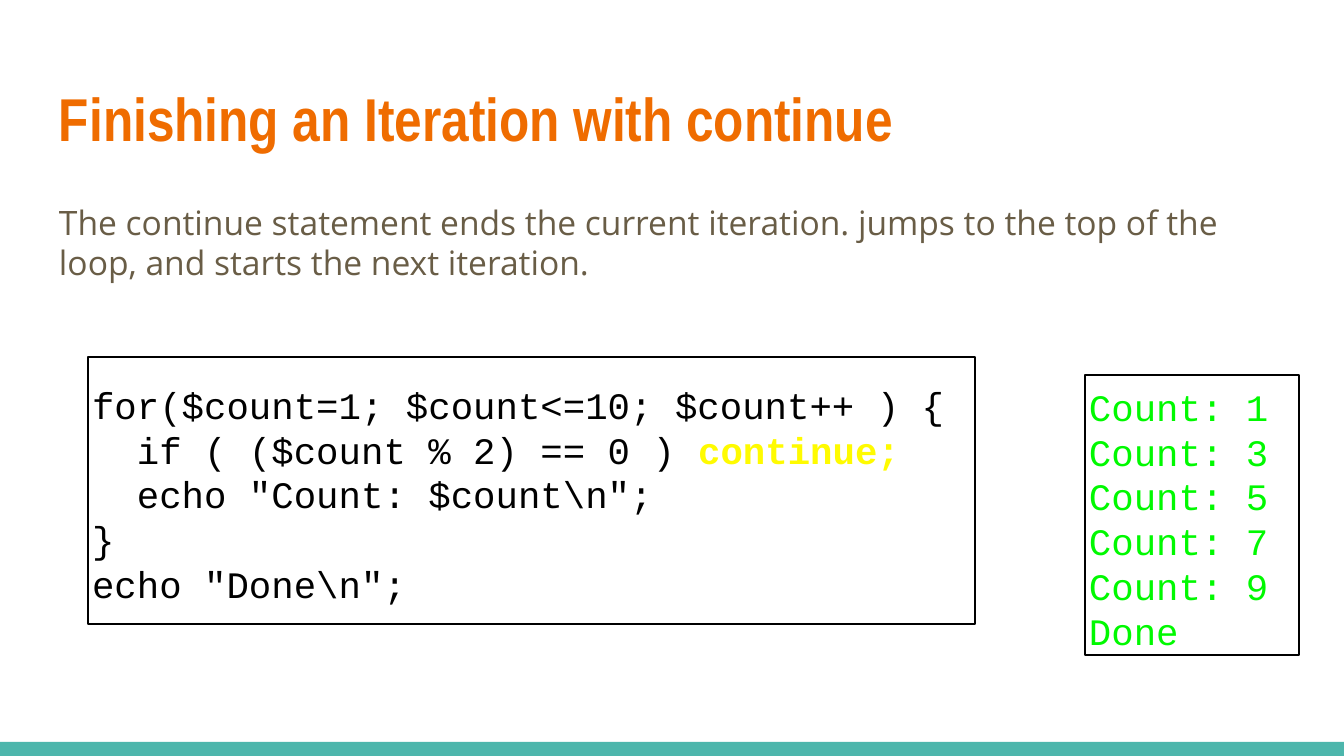
from dataclasses import dataclass

from pptx import Presentation
from pptx.dml.color import RGBColor
from pptx.enum.shapes import MSO_SHAPE
from pptx.enum.text import MSO_ANCHOR, PP_ALIGN
from pptx.util import Emu, Pt

WIDTH, HEIGHT = 1344, 756
SCALE = 9144000 / WIDTH


@dataclass(frozen=True)
class Theme:
    title: str = "EF6C00"
    body: str = "695D46"
    code: str = "000000"
    key: str = "FFFB00"
    output: str = "00F900"
    bar: str = "4DB6AC"
    title_font: str = "Arial Narrow"
    body_font: str = "Open Sans"
    code_font: str = "Courier New"
    title_size: float = 32.4
    body_size: float = 18
    code_size: float = 20
    code_pitch: float = 24


THEME = Theme()

CODE = [
    "for($count=1; $count<=10; $count++ ) {",
    "  if ( ($count % 2) == 0 ) continue;",
    '  echo "Count: $count\\n";',
    "}",
    'echo "Done\\n";',
]
OUTPUT = [f"Count: {n}" for n in range(1, 10, 2)] + ["Done"]


def px(n):
    return Emu(round(n * SCALE))


def write(shape, lines, *, font, size, color, bold=False, key=None,
          anchor=MSO_ANCHOR.TOP, inset=(13, 13, 13, 13), spacing=None, after=0):
    """Fill a shape with lines; key is a word to pick out in the key colour."""
    frame = shape.text_frame
    frame.word_wrap = True
    frame.vertical_anchor = anchor
    (frame.margin_left, frame.margin_top,
     frame.margin_right, frame.margin_bottom) = map(px, inset)
    for i, line in enumerate(lines):
        para = frame.paragraphs[0] if i == 0 else frame.add_paragraph()
        para.alignment = PP_ALIGN.LEFT
        para.line_spacing = spacing
        para.space_after = Pt(after)
        head, mark, tail = line.partition(key) if key else (line, "", "")
        for text in filter(None, (head, mark, tail)):
            run = para.add_run()
            run.text = text
            picked = text == key
            run.font.name = font
            run.font.size = Pt(size)
            run.font.bold = bold or picked
            run.font.color.rgb = RGBColor.from_string(
                THEME.key if picked else color)


def add_text(slide, box, lines, **style):
    write(slide.shapes.add_textbox(*map(px, box)), lines, **style)


def add_rect(slide, box, fill=None, line=None):
    rect = slide.shapes.add_shape(MSO_SHAPE.RECTANGLE, *map(px, box))
    rect.shadow.inherit = False
    if fill:
        rect.fill.solid()
        rect.fill.fore_color.rgb = RGBColor.from_string(fill)
    else:
        rect.fill.background()
    if line:
        rect.line.color.rgb = RGBColor.from_string(line)
        rect.line.width = Pt(0.75)
    else:
        rect.line.fill.background()
    return rect


def add_code(slide, box, lines, color, key=None):
    rect = add_rect(slide, box, line=THEME.code)
    write(rect, lines, font=THEME.code_font, size=THEME.code_size, color=color,
          key=key, anchor=MSO_ANCHOR.MIDDLE, inset=(4, 7, 4, 0),
          spacing=Pt(THEME.code_pitch))


def main():
    deck = Presentation()
    deck.slide_width, deck.slide_height = px(WIDTH), px(HEIGHT)
    slide = deck.slides.add_slide(deck.slide_layouts[6])

    add_rect(slide, (0, 742, WIDTH, 14), fill=THEME.bar)
    add_text(slide, (46, 66, 1252, 103),
             ["Finishing an Iteration with continue"],
             font=THEME.title_font, size=THEME.title_size, color=THEME.title,
             bold=True, anchor=MSO_ANCHOR.MIDDLE)
    add_text(slide, (46, 185, 1252, 164),
             ["The continue statement ends the current iteration. jumps to "
              "the top of the loop, and starts the next iteration."],
             font=THEME.body_font, size=THEME.body_size, color=THEME.body,
             inset=(13, 17, 13, 13), spacing=1.0, after=12)
    add_code(slide, (88, 357, 887, 267), CODE, THEME.code, key="continue;")
    add_code(slide, (1085, 375, 214, 280), OUTPUT, THEME.output)

    deck.save("out.pptx")


if __name__ == "__main__":
    main()
